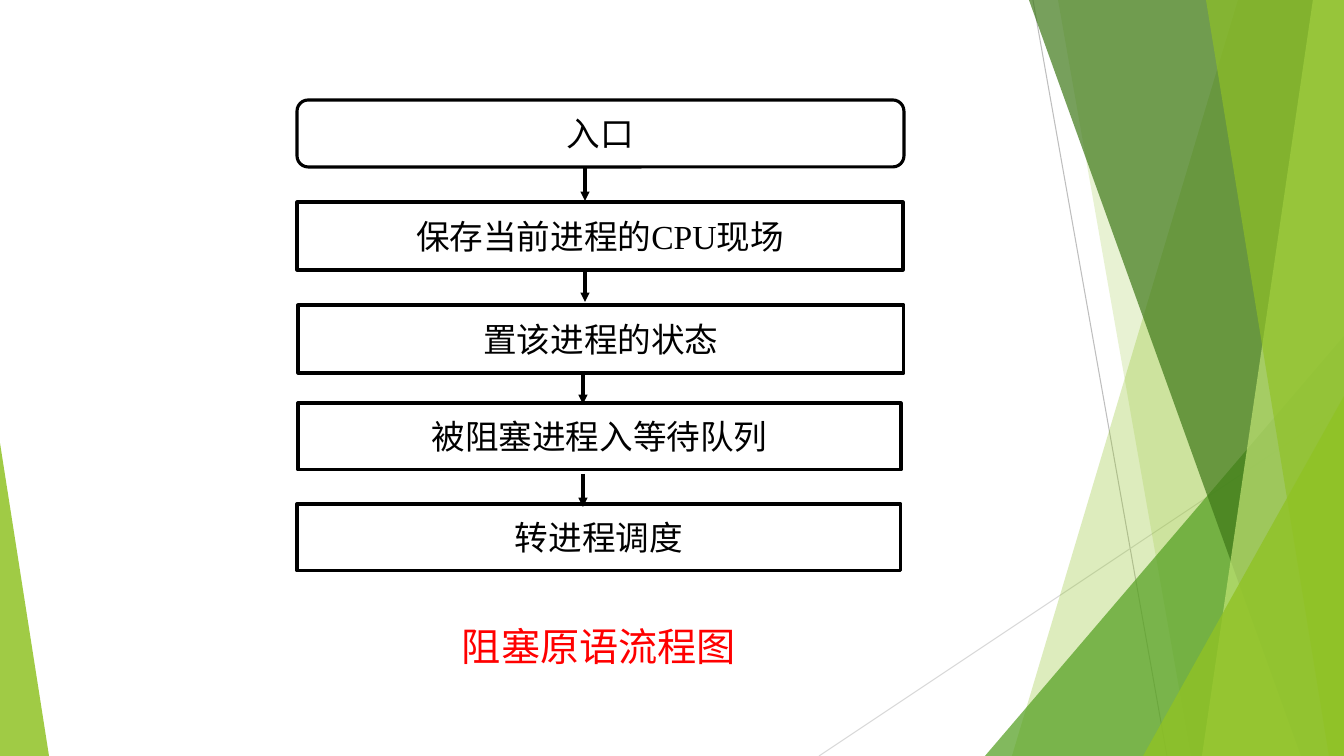
from lxml import etree
from pptx import Presentation
from pptx.dml.color import RGBColor
from pptx.enum.shapes import MSO_CONNECTOR, MSO_SHAPE
from pptx.enum.text import MSO_ANCHOR, MSO_AUTO_SIZE, PP_ALIGN
from pptx.oxml.ns import qn
from pptx.util import Pt

PX = 12192000 / 1344
WIDTH, HEIGHT = 1344, 756

STRAIGHT = MSO_CONNECTOR.STRAIGHT
RECTANGLE = MSO_SHAPE.RECTANGLE
ROUNDED = MSO_SHAPE.ROUNDED_RECTANGLE
MIDDLE = MSO_ANCHOR.MIDDLE
CENTER = PP_ALIGN.CENTER
NO_AUTOFIT = MSO_AUTO_SIZE.NONE

BLACK = RGBColor(0x00, 0x00, 0x00)
WHITE = RGBColor(0xFF, 0xFF, 0xFF)
RED = RGBColor(0xFF, 0x00, 0x00)
GRAY = RGBColor(0xBE, 0xBE, 0xBE)
LIGHT_GRAY = RGBColor(0xD9, 0xD9, 0xD9)
LIME = RGBColor(0x90, 0xC2, 0x25)
GREEN = RGBColor(0x53, 0x9F, 0x20)
DARK_GREEN = RGBColor(0x3E, 0x78, 0x18)
PALE_GREEN = RGBColor(0xC0, 0xE3, 0x74)

LATIN_FONT = "Times New Roman"
CHINESE_FONT = "Noto Sans CJK SC"

THIN_LINES = [
    ((1033, 0), (1167, HEIGHT), GRAY),
    ((WIDTH, 406), (819, HEIGHT), LIGHT_GRAY),
]
BOTTOM_RIGHT = (WIDTH, HEIGHT)
TOP_RIGHT = (WIDTH, 0)
FACETS = [
    ([TOP_RIGHT, (1238, 0), (1012, HEIGHT), BOTTOM_RIGHT], LIME, 30),
    ([TOP_RIGHT, (1058, 0), (1191, HEIGHT), BOTTOM_RIGHT], LIME, 20),
    ([(WIDTH, 336), (985, HEIGHT), BOTTOM_RIGHT], GREEN, 72),
    ([TOP_RIGHT, (1029, 0), (1301, HEIGHT), BOTTOM_RIGHT], DARK_GREEN, 70),
    ([TOP_RIGHT, (1313, 0), (1202, HEIGHT), BOTTOM_RIGHT], PALE_GREEN, 70),
    ([TOP_RIGHT, (1206, 0), (1329, HEIGHT), BOTTOM_RIGHT], LIME, 65),
    ([(WIDTH, 396), (1143, HEIGHT), BOTTOM_RIGHT], LIME, 80),
    ([(0, 443), (0, HEIGHT), (49, HEIGHT)], LIME, 85),
]

TITLE = ("保存当前进程的CPU现场", (297, 202, 606, 68))
STEPS = [
    ("入口", ROUNDED, (297, 100, 607, 67)),
    ("置该进程的状态", RECTANGLE, (298, 305, 606, 68)),
    ("被阻塞进程入等待队列", RECTANGLE, (298, 403, 603, 67)),
    ("转进程调度", RECTANGLE, (297, 504, 604, 67)),
]
ARROWS = [(585, 168), (585, 269), (583, 371), (583, 474)]
ARROW_LENGTH = 33
CAPTION = ("阻塞原语流程图", (440, 616, 318, 60))


def emu(*lengths):
    return [round(length * PX) for length in lengths]


def write_text(shape, text, size, color):
    frame = shape.text_frame
    frame.word_wrap = True
    frame.auto_size = NO_AUTOFIT
    frame.vertical_anchor = MIDDLE
    frame.margin_left = frame.margin_right = 0
    frame.margin_top = frame.margin_bottom = 0
    frame.text = text
    paragraph = frame.paragraphs[0]
    paragraph.alignment = CENTER
    paragraph.font.size = Pt(size)
    paragraph.font.color.rgb = color
    paragraph.font.name = LATIN_FONT
    properties = paragraph._p.pPr.find(qn("a:defRPr"))
    etree.SubElement(properties, qn("a:ea"), typeface=CHINESE_FONT)


def format_step(shape, text):
    shape.fill.solid()
    shape.fill.fore_color.rgb = WHITE
    shape.line.color.rgb = BLACK
    shape.line.width = Pt(2.25)
    write_text(shape, text, 24, BLACK)


def add_line(shapes, start, end, color, width):
    line = shapes.add_connector(STRAIGHT, *emu(*start, *end))
    line.line.color.rgb = color
    line.line.width = Pt(width)
    etree.SubElement(line._element.spPr, qn("a:effectLst"))
    return line


def add_facet(shapes, points, color, opacity):
    builder = shapes.build_freeform(*points[0], scale=PX)
    builder.add_line_segments(points[1:], close=True)
    facet = builder.convert_to_shape()
    facet.shadow.inherit = False
    facet.line.fill.background()
    facet.fill.solid()
    facet.fill.fore_color.rgb = color
    color_element = facet._element.spPr.find(qn("a:solidFill"))[0]
    etree.SubElement(color_element, qn("a:alpha"), val=str(opacity * 1000))


def main():
    presentation = Presentation()
    presentation.slide_width, presentation.slide_height = emu(WIDTH, HEIGHT)
    slide = presentation.slides.add_slide(presentation.slide_layouts[5])
    shapes = slide.shapes

    for start, end, color in THIN_LINES:
        add_line(shapes, start, end, color, 0.75)
    for points, color, opacity in FACETS:
        add_facet(shapes, points, color, opacity)

    text, bounds = TITLE
    title = shapes.title
    title.left, title.top, title.width, title.height = emu(*bounds)
    format_step(title, text)

    for text, preset, bounds in STEPS:
        step = shapes.add_shape(preset, *emu(*bounds))
        step.shadow.inherit = False
        format_step(step, text)

    for x, y in ARROWS:
        arrow = add_line(shapes, (x, y), (x, y + ARROW_LENGTH), BLACK, 2.25)
        etree.SubElement(arrow.line._get_or_add_ln(), qn("a:tailEnd"), type="triangle")

    text, bounds = CAPTION
    write_text(shapes.add_textbox(*emu(*bounds)), text, 28, RED)

    presentation.save("out.pptx")


if __name__ == "__main__":
    main()
